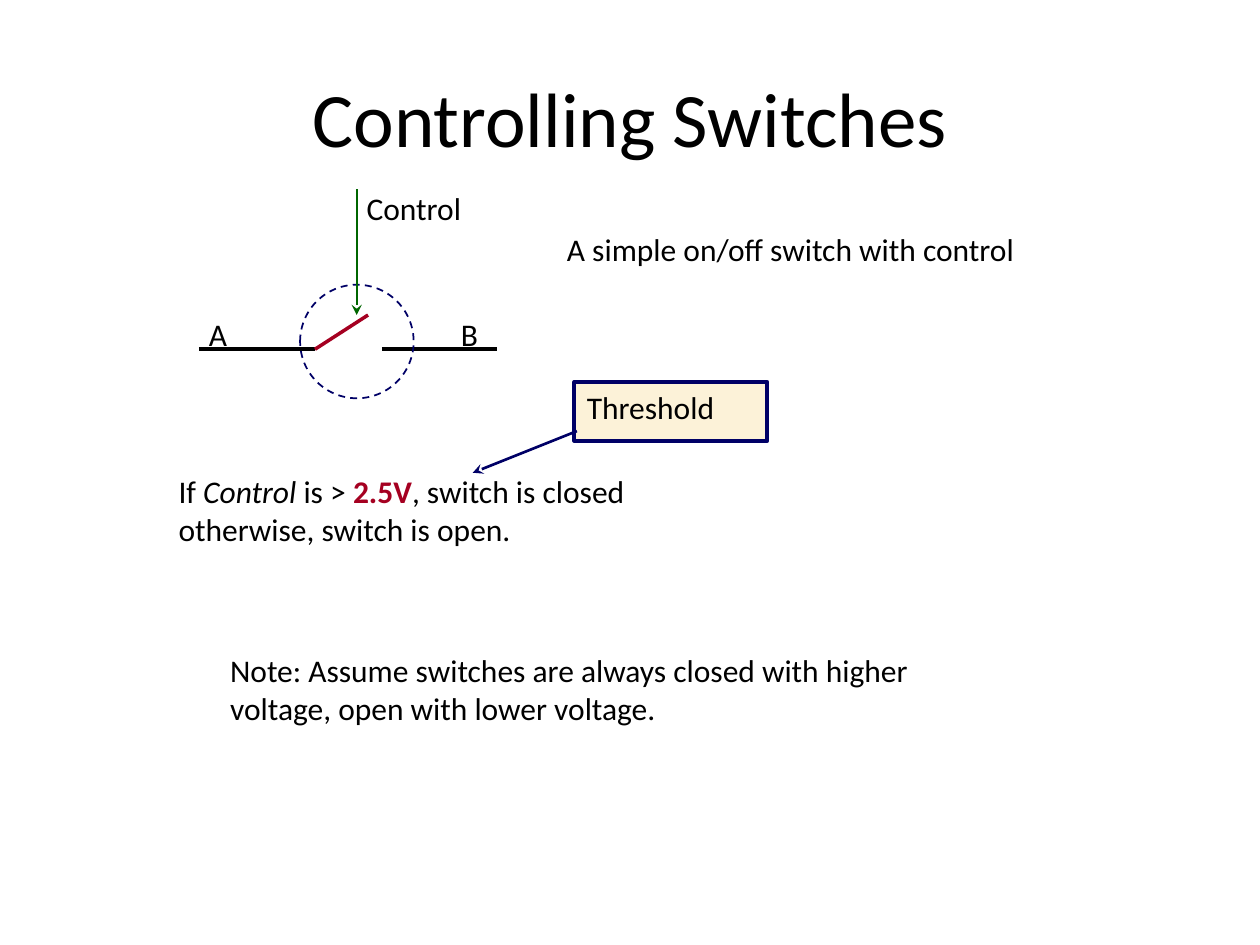
from pptx import Presentation
from pptx.dml.color import RGBColor
from pptx.enum.dml import MSO_LINE
from pptx.enum.shapes import MSO_CONNECTOR, MSO_SHAPE
from pptx.enum.text import MSO_ANCHOR, PP_ALIGN
from pptx.oxml.ns import qn
from pptx.util import Cm, Pt
from lxml.etree import SubElement

BLACK = RGBColor(0x00, 0x00, 0x00)
RED = RGBColor(0xA5, 0x00, 0x21)
NAVY = RGBColor(0x00, 0x00, 0x66)
GREEN = RGBColor(0x00, 0x66, 0x00)
CREAM = RGBColor(0xFC, 0xF2, 0xD8)


def format_text(frame, size=18):
    frame.word_wrap = True
    for paragraph in frame.paragraphs:
        for run in paragraph.runs:
            run.font.name = "Calibri"
            run.font.size = Pt(size)
            run.font.color.rgb = BLACK


def add_line(x1, y1, x2, y2, color, width, arrow=False):
    """Draw a shadowless line, ends in cm, with a stealth head if arrow."""
    line = slide.shapes.add_connector(
        MSO_CONNECTOR.STRAIGHT, Cm(x1), Cm(y1), Cm(x2), Cm(y2))
    line.line.color.rgb = color
    line.line.width = Pt(width)
    properties = line._element.spPr
    if arrow:
        SubElement(properties.find(qn("a:ln")), qn("a:tailEnd"), type="stealth")
    SubElement(properties, qn("a:effectLst"))


prs = Presentation()
prs.slide_width, prs.slide_height = Cm(25.4), Cm(19.05)
slide = prs.slides.add_slide(prs.slide_layouts[5])

title = slide.shapes.title
title.left, title.top, title.width, title.height = Cm(1.27), Cm(0.76), Cm(22.86), Cm(3.18)
title.text_frame.text = "Controlling Switches"
title.text_frame.vertical_anchor = MSO_ANCHOR.MIDDLE
title.text_frame.paragraphs[0].alignment = PP_ALIGN.CENTER
format_text(title.text_frame, 44)

# Switch: two leads, an open blade and the control input
lead_y = 7.04
blade_tip_y = 6.35
add_line(4.01, lead_y, 6.35, lead_y, BLACK, 2)
add_line(6.35, lead_y, 7.42, blade_tip_y, RED, 2)
add_line(7.7, lead_y, 10.01, lead_y, BLACK, 2)

switch_outline = slide.shapes.add_shape(
    MSO_SHAPE.OVAL, Cm(6.05), Cm(5.74), Cm(2.29), Cm(2.29))
switch_outline.shadow.inherit = False
switch_outline.fill.background()
switch_outline.line.color.rgb = NAVY
switch_outline.line.width = Pt(1)
switch_outline.line.dash_style = MSO_LINE.DASH

add_line(7.19, 3.81, 7.19, blade_tip_y, GREEN, 1, arrow=True)

# Labels and notes; \v is a line break
for wording, left, top, width, height in [
    ("A", 3.96, 6.22, 1, 1.09),
    ("B", 9.04, 6.22, 1, 1.09),
    ("A simple on/off switch with control", 11.18, 4.52, 11.1, 1.09),
    ("Control", 7.14, 3.68, 2.8, 1.09),
    ("Note: Assume switches are always closed with higher\v"
     "voltage, open with lower voltage.", 4.39, 13, 17.25, 1.96),
]:
    label = slide.shapes.add_textbox(Cm(left), Cm(top), Cm(width), Cm(height))
    label.text_frame.text = wording
    format_text(label.text_frame)

# Switching rule with its emphasised parts
rule = slide.shapes.add_textbox(Cm(3.35), Cm(9.4), Cm(11.81), Cm(1.96))
rule_line = rule.text_frame.paragraphs[0]
for wording in ["If ", "Control", " is > ", "2.5V", ", switch is closed "]:
    rule_line.add_run().text = wording
rule_line.add_line_break()
rule_line.add_run().text = "otherwise, switch is open."
format_text(rule.text_frame)
control_word, voltage = rule_line.runs[1], rule_line.runs[3]
control_word.font.italic = True
voltage.font.bold = True
voltage.font.color.rgb = RED

threshold = slide.shapes.add_shape(
    MSO_SHAPE.RECTANGLE, Cm(11.58), Cm(7.7), Cm(3.89), Cm(1.19))
threshold.shadow.inherit = False
threshold.fill.solid()
threshold.fill.fore_color.rgb = CREAM
threshold.line.color.rgb = NAVY
threshold.line.width = Pt(2.25)
threshold.text_frame.text = "Threshold"
threshold.text_frame.vertical_anchor = MSO_ANCHOR.TOP
threshold.text_frame.paragraphs[0].alignment = PP_ALIGN.LEFT
format_text(threshold.text_frame)
add_line(11.63, 8.69, 9.53, 9.53, NAVY, 1.5, arrow=True)

prs.save("out.pptx")
